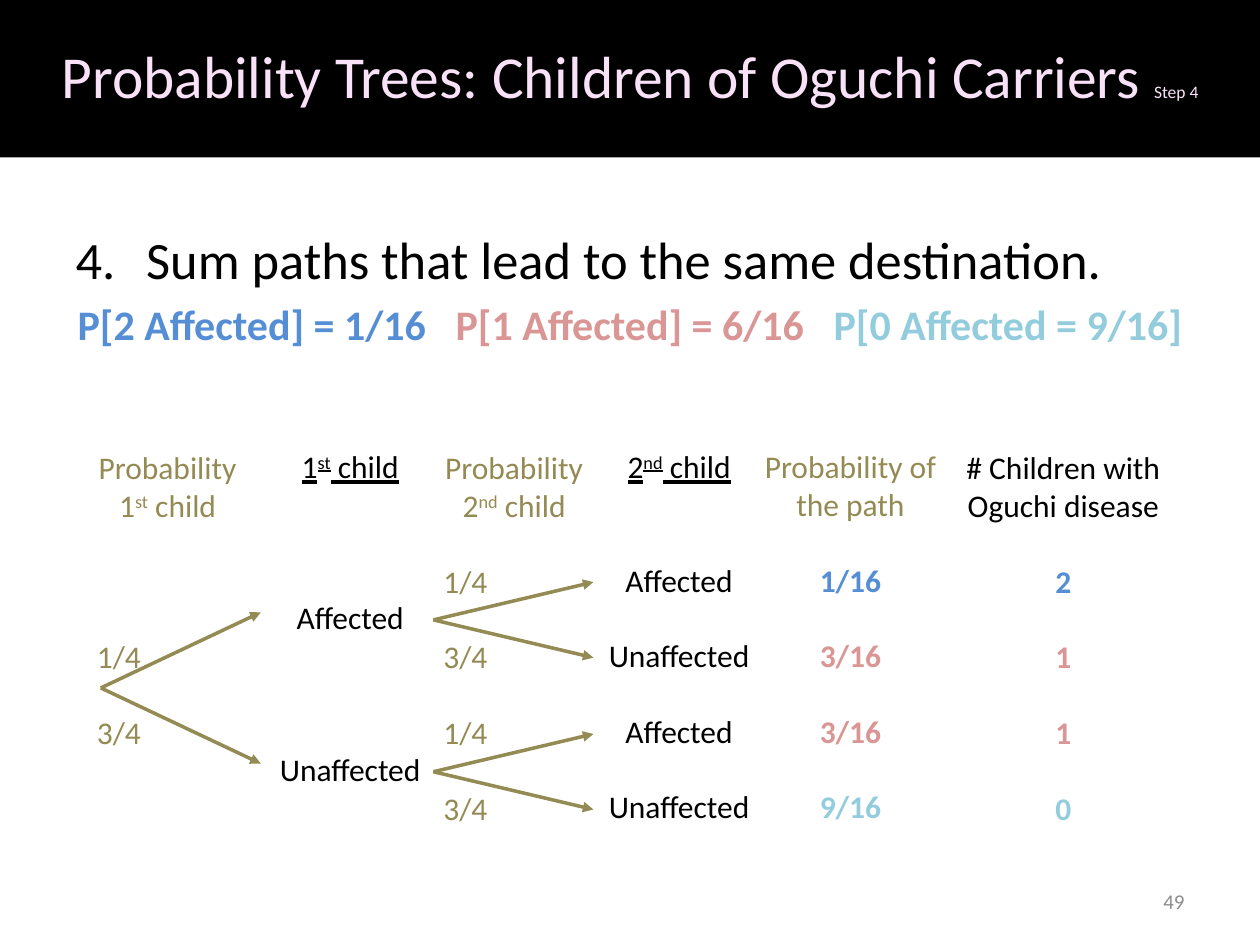
from dataclasses import dataclass

from lxml import etree
from pptx import Presentation
from pptx.dml.color import RGBColor
from pptx.enum.shapes import MSO_CONNECTOR
from pptx.enum.text import MSO_ANCHOR, MSO_AUTO_SIZE, PP_ALIGN
from pptx.oxml.ns import qn
from pptx.util import Inches, Pt

STRAIGHT = MSO_CONNECTOR.STRAIGHT
MIDDLE, TOP = MSO_ANCHOR.MIDDLE, MSO_ANCHOR.TOP
NO_FIT = MSO_AUTO_SIZE.NONE
LEFT, CENTER, RIGHT = PP_ALIGN.LEFT, PP_ALIGN.CENTER, PP_ALIGN.RIGHT
COLUMNS, ROWS = 100, 75


@dataclass(frozen=True)
class Theme:
    font: str = "Calibri"
    black: str = "000000"
    title: str = "F9E2F7"
    olive: str = "948A54"
    blue: str = "558ED5"
    rose: str = "D99694"
    aqua: str = "93CDDD"
    gray: str = "8C8C8C"
    title_size: float = 34
    step_size: float = 10
    list_size: float = 30
    sum_size: float = 24
    tree_size: float = 18
    number_size: float = 12
    tree_line: float = 21.6
    arrow_width: float = 2


THEME = Theme()


class SlideBuilder:
    def __init__(self, deck, theme):
        self.theme = theme
        self.page = deck.slides.add_slide(deck.slide_layouts[1])
        self.column = deck.slide_width / COLUMNS
        self.row = deck.slide_height / ROWS

    def place(self, left, top, width, height):
        return [int(left * self.column), int(top * self.row),
                int(width * self.column), int(height * self.row)]

    def frame(self, box, **values):
        for name, value in {"auto_size": NO_FIT, "word_wrap": True, **values}.items():
            setattr(box.text_frame, name, value)
        return box.text_frame

    def fill_para(self, para, spans, **values):
        for name, value in values.items():
            setattr(para, name, value)
        for text, color, size, extra in spans:
            span = para.add_run()
            span.text = text
            extra = dict(extra)
            raised = extra.pop("raised", False)
            for name, value in {"name": self.theme.font, "size": Pt(size), **extra}.items():
                setattr(span.font, name, value)
            span.font.color.rgb = RGBColor.from_string(color)
            if raised:
                span._r.get_or_add_rPr().set("baseline", "30000")

    def placeholder(self, box, area):
        box.left, box.top, box.width, box.height = self.place(*area)
        return box

    def title(self, area, spans):
        box = self.placeholder(self.page.shapes.title, area)
        box.fill.solid()
        box.fill.fore_color.rgb = RGBColor.from_string(self.theme.black)
        frame = self.frame(box, vertical_anchor=MIDDLE,
                           margin_top=Inches(0.15), margin_bottom=Inches(0.15))
        self.fill_para(frame.paragraphs[0], spans, alignment=CENTER, line_spacing=0.9)

    def body(self, area, number, step, sums):
        box = self.placeholder(self.page.placeholders[1], area)
        frame = self.frame(box, vertical_anchor=TOP)
        first, second = frame.paragraphs[0], frame.add_paragraph()
        self.fill_para(first, step, alignment=LEFT)
        self.fill_para(second, sums, alignment=CENTER)
        bullets = (
            (first, Inches(0.56), "a:buAutoNum", {"type": "arabicPeriod", "startAt": str(number)}),
            (second, 0, "a:buNone", {}),
        )
        for para, indent, tag, attributes in bullets:
            properties = para._p.get_or_add_pPr()
            properties.set("marL", str(indent))
            properties.set("indent", str(-indent))
            etree.SubElement(properties, qn(tag), attributes)

    def text(self, area, lines, **values):
        box = self.page.shapes.add_textbox(*self.place(*area))
        frame = self.frame(box, **values)
        previous = -1
        for index, (line, alignment, spans) in enumerate(lines):
            para = frame.add_paragraph() if index else frame.paragraphs[0]
            gap = Pt((line - previous - 1) * self.theme.tree_line)
            self.fill_para(para, spans, alignment=alignment, space_before=gap)
            previous = line

    def arrow(self, start, end):
        line = self.page.shapes.add_connector(STRAIGHT, *self.place(*start, *end))
        line.line.color.rgb = RGBColor.from_string(self.theme.olive)
        line.line.width = Pt(self.theme.arrow_width)
        properties = line._element.spPr
        etree.SubElement(properties.find(qn("a:ln")), qn("a:tailEnd"), {"type": "triangle"})
        etree.SubElement(properties, qn("a:effectLst"))

    def fork(self, column, row, rise):
        for step in (-rise, rise):
            self.arrow((column, row), (column + 12.7, row + step))


def entry(text, color, **extra):
    return (text, color, THEME.tree_size, extra)


def child(number, suffix, color, **extra):
    return [entry(number, color, **extra),
            entry(suffix, color, raised=True, **extra),
            entry(" child", color, **extra)]


def heading(color, *texts):
    return [(line, CENTER, [entry(text, color)]) for line, text in enumerate(texts)]


def chances(number, suffix, rows):
    lines = heading(THEME.olive, "Probability")
    lines.append((1, CENTER, child(number, suffix, THEME.olive)))
    return lines + [(row, LEFT, [entry(("1/4", "3/4")[index % 2], THEME.olive)])
                    for index, row in enumerate(rows)]


def outcomes(number, suffix, rows):
    lines = [(0, CENTER, child(number, suffix, THEME.black, underline=True))]
    return lines + [(row, CENTER, [entry(("Affected", "Unaffected")[index % 2], THEME.black)])
                    for index, row in enumerate(rows)]


def results(color, titles, values):
    shades = (THEME.blue, THEME.rose, THEME.rose, THEME.aqua)
    return heading(color, *titles) + [
        (row, CENTER, [entry(value, shade, bold=True)])
        for row, value, shade in zip(LEAVES, values, shades)]


LEAVES = (3, 5, 7, 9)
TREE = (
    (6.7, 35.1, 13.2, chances("1", "st", (5, 7))),
    (21.1, 35, 13.4, outcomes("1", "st", (4, 8))),
    (34.2, 35.1, 13.2, chances("2", "nd", LEAVES)),
    (47.2, 35, 13.4, outcomes("2", "nd", LEAVES)),
    (59.6, 35, 15.8, results(THEME.olive, ("Probability of", "the path"),
                             ("1/16", "3/16", "3/16", "9/16"))),
    (75.6, 35.1, 17.6, results(THEME.black, ("# Children with", "Oguchi disease"),
                               ("2", "1", "1", "0"))),
)
FORKS = ((8, 54.6, 6), (34.4, 49.2, 3), (34.4, 61.25, 3))
SUMS = (("P[2 Affected] = 1/16 \t", THEME.blue),
        ("P[1 Affected] = 6/16 \t", THEME.rose),
        ("P[0 Affected = 9/16]", THEME.aqua))

deck = Presentation()
deck.slide_width, deck.slide_height = Inches(10), Inches(7.5)
slide = SlideBuilder(deck, THEME)
slide.title((0, 0, COLUMNS, 12.5), [
    ("Probability Trees: Children of Oguchi Carriers ", THEME.title, THEME.title_size, {}),
    ("Step 4", THEME.title, THEME.step_size, {}),
])
slide.body(
    (5, 17.5, 90, 35.1), 4,
    [("Sum paths that lead to the same destination.", THEME.black, THEME.list_size, {})],
    [(text, color, THEME.sum_size, {"bold": True}) for text, color in SUMS],
)
for left, top, width, lines in TREE:
    slide.text((left, top, width, 34.3), lines, word_wrap=False)
for fork in FORKS:
    slide.fork(*fork)
slide.text((71.7, 69.5, 23.3, 4),
           [(0, RIGHT, [("49", THEME.gray, THEME.number_size, {})])],
           vertical_anchor=MIDDLE)
deck.save("out.pptx")
